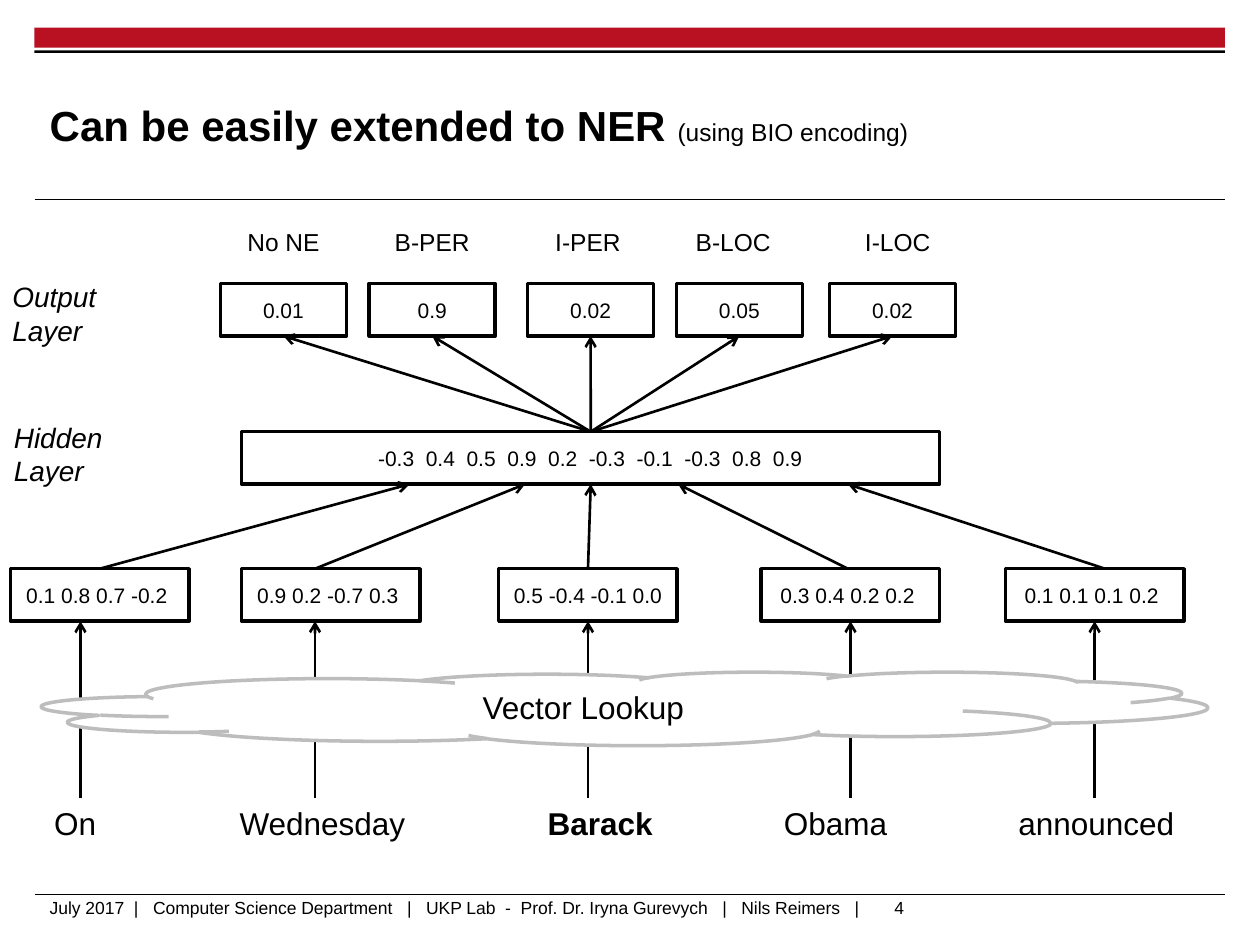
from lxml import etree
from pptx import Presentation
from pptx import util as u
from pptx.dml.color import RGBColor
from pptx.enum import shapes, text
from pptx.oxml.ns import qn

Pt = u.Pt
COLORS = {name: RGBColor.from_string(value) for name, value in {
    "black": "000000", "white": "FFFFFF", "red": "B91022", "gray": "BDBDBD"}.items()}
LEFT, CENTER = text.PP_ALIGN.LEFT, text.PP_ALIGN.CENTER
RECTANGLE, CLOUD = shapes.MSO_SHAPE.RECTANGLE, shapes.MSO_SHAPE.CLOUD

deck = Presentation()
deck.slide_width, deck.slide_height = Pt(720), Pt(540)
page = deck.slides.add_slide(deck.slide_layouts[5])


def write(para, content, size, align=LEFT, bold=False, italic=False):
    para.alignment = align
    span = para.add_run()
    span.text = content
    span.font.name = "Arial"
    span.font.size = Pt(size)
    span.font.bold, span.font.italic = bold, italic
    span.font.color.rgb = COLORS["black"]


def draw_line(x1, y1, x2, y2, width=1.5, arrow=True):
    line = page.shapes.add_connector(
        shapes.MSO_CONNECTOR.STRAIGHT, Pt(x1), Pt(y1), Pt(x2), Pt(y2))
    line.line.color.rgb = COLORS["black"]
    line.line.width = Pt(width)
    if arrow:
        etree.SubElement(line.line._get_or_add_ln(), qn("a:tailEnd"), type="arrow")
    etree.SubElement(line._element.spPr, qn("a:effectLst"))


for top, height, color in [(15.8, 11.5, "red"), (28.8, 1.4, "black")]:
    bar = page.shapes.add_shape(RECTANGLE, Pt(19.6), Pt(top), Pt(680.4), Pt(height))
    bar.shadow.inherit = False
    bar.fill.solid()
    bar.fill.fore_color.rgb = COLORS[color]
    bar.line.fill.background()
for y in (114.2, 511):
    draw_line(19.8, y, 700.2, y, 0.6, arrow=False)

title = page.shapes.title
title.left, title.top, title.width, title.height = Pt(28.4), Pt(38.2), Pt(564.5), Pt(66.2)
frame = title.text_frame
frame.auto_size = text.MSO_AUTO_SIZE.NONE
frame.vertical_anchor = text.MSO_ANCHOR.MIDDLE
frame.margin_left = frame.margin_top = frame.margin_right = frame.margin_bottom = 0
write(frame.paragraphs[0], "Can be easily extended to NER ", 24, bold=True)
write(frame.paragraphs[0], "(using BIO encoding)", 14)

WORD_TOP, VECTOR_TOP, HIDDEN_TOP, OUTPUT_TOP, BOX_HEIGHT = 456, 325, 246.7, 162, 30
HIDDEN_CENTER = 337.6
VECTORS = [
    ("0.1 0.8 0.7 -0.2 ", 6, 46, 57, 234),
    ("0.9 0.2 -0.7 0.3 ", 138, 180, 180, 300),
    ("0.5 -0.4 -0.1 0.0 ", 285, 336, 336, HIDDEN_CENTER),
    ("0.3 0.4 0.2 0.2 ", 435, 486, 484.5, 387.5),
    ("0.1 0.1 0.1 0.2 ", 574.5, 625.5, 631.5, 484.5),
]
OUTPUTS = [
    ("No NE", "0.01", 126, 117),
    ("B-PER", "0.9", 211, 202),
    ("I-PER", "0.02", 301.5, 291),
    ("B-LOC", "0.05", 386.5, 374),
    ("I-LOC", "0.02", 474, 468),
]

boxes = [(CLOUD, "Vector Lookup", 24, 384, 666, 42, 18)]
for values, left, word_x, start_x, end_x in VECTORS:
    draw_line(word_x, WORD_TOP, word_x, VECTOR_TOP + BOX_HEIGHT)
    draw_line(start_x, VECTOR_TOP, end_x, HIDDEN_TOP + BOX_HEIGHT)
    boxes.append((RECTANGLE, values, left, VECTOR_TOP, 102, BOX_HEIGHT, 12))
boxes.append((RECTANGLE, "-0.3  0.4  0.5  0.9  0.2  -0.3  -0.1  -0.3  0.8  0.9",
              138, HIDDEN_TOP, 399, BOX_HEIGHT, 12))

labels = [
    (["Output Layer"], 0, 156.4, 90, 46, 16, LEFT, True),
    (["Hidden", "Layer"], 0.9, 236.5, 125, 46, 16, LEFT, True),
]
for tag, score, left, label_left in OUTPUTS:
    draw_line(HIDDEN_CENTER, HIDDEN_TOP, left + 36, OUTPUT_TOP + BOX_HEIGHT)
    boxes.append((RECTANGLE, score, left, OUTPUT_TOP, 72, BOX_HEIGHT, 12))
    labels.append(([tag], label_left, 126, 90, 24.2, 14, CENTER, False))

for kind, content, left, top, width, height, size in boxes:
    box = page.shapes.add_shape(kind, Pt(left), Pt(top), Pt(width), Pt(height))
    box.shadow.inherit = False
    if kind == CLOUD:
        box.fill.solid()
        box.fill.fore_color.rgb = COLORS["white"]
    else:
        box.fill.background()
    box.line.color.rgb = COLORS["gray" if kind == CLOUD else "black"]
    box.line.width = Pt(2)
    box.text_frame.word_wrap = True
    box.text_frame.vertical_anchor = text.MSO_ANCHOR.MIDDLE
    write(box.text_frame.paragraphs[0], content, size, CENTER)

for lines, left, top, width, height, size, align, italic in labels:
    label = page.shapes.add_textbox(Pt(left), Pt(top), Pt(width), Pt(height))
    frame = label.text_frame
    frame.word_wrap = True
    for index, content in enumerate(lines):
        para = frame.add_paragraph() if index else frame.paragraphs[0]
        write(para, content, size, align, italic=italic)

sentence = page.shapes.add_textbox(Pt(23.8), Pt(WORD_TOP), Pt(688), Pt(29))
sentence.text_frame.word_wrap = True
para = sentence.text_frame.paragraphs[0]
tabs = etree.SubElement(para._p.get_or_add_pPr(), qn("a:tabLst"))
for stop in (106, 282, 417, 551):
    etree.SubElement(tabs, qn("a:tab"), pos=str(Pt(stop)), algn="l")
write(para, "On\tWednesday\t", 18)
write(para, "Barack", 18, bold=True)
write(para, "\tObama\tannounced", 18)

footer = page.shapes.add_textbox(Pt(28.4), Pt(512.6), Pt(626), Pt(18))
frame = footer.text_frame
frame.word_wrap = True
frame.margin_left = frame.margin_top = frame.margin_right = frame.margin_bottom = 0
write(frame.paragraphs[0], "July 2017  |   Computer Science Department   |   UKP Lab  -  "
      "Prof. Dr. Iryna Gurevych   |   Nils Reimers   |", 10)

number = page.shapes.add_textbox(Pt(504), Pt(509), Pt(34.5), Pt(19.4))
number.text_frame.word_wrap = True
write(number.text_frame.paragraphs[0], "4", 10)

deck.save("out.pptx")
